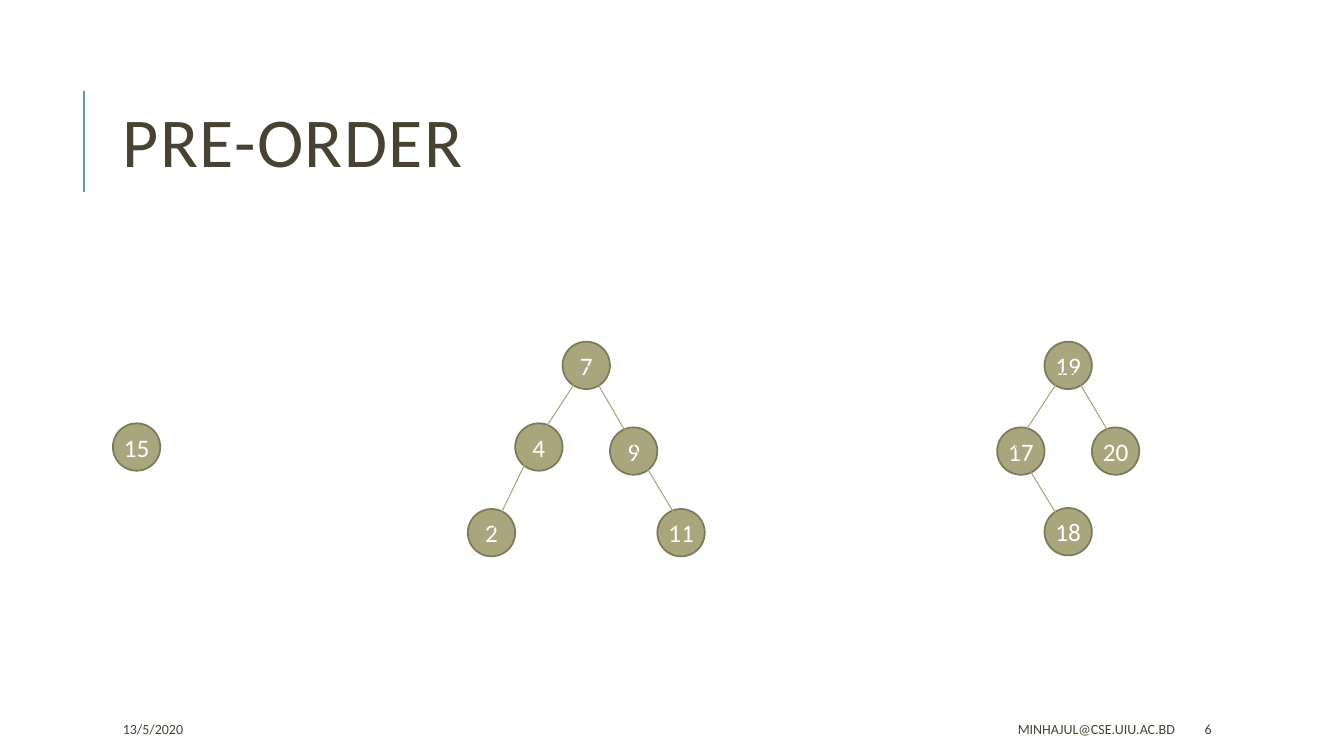
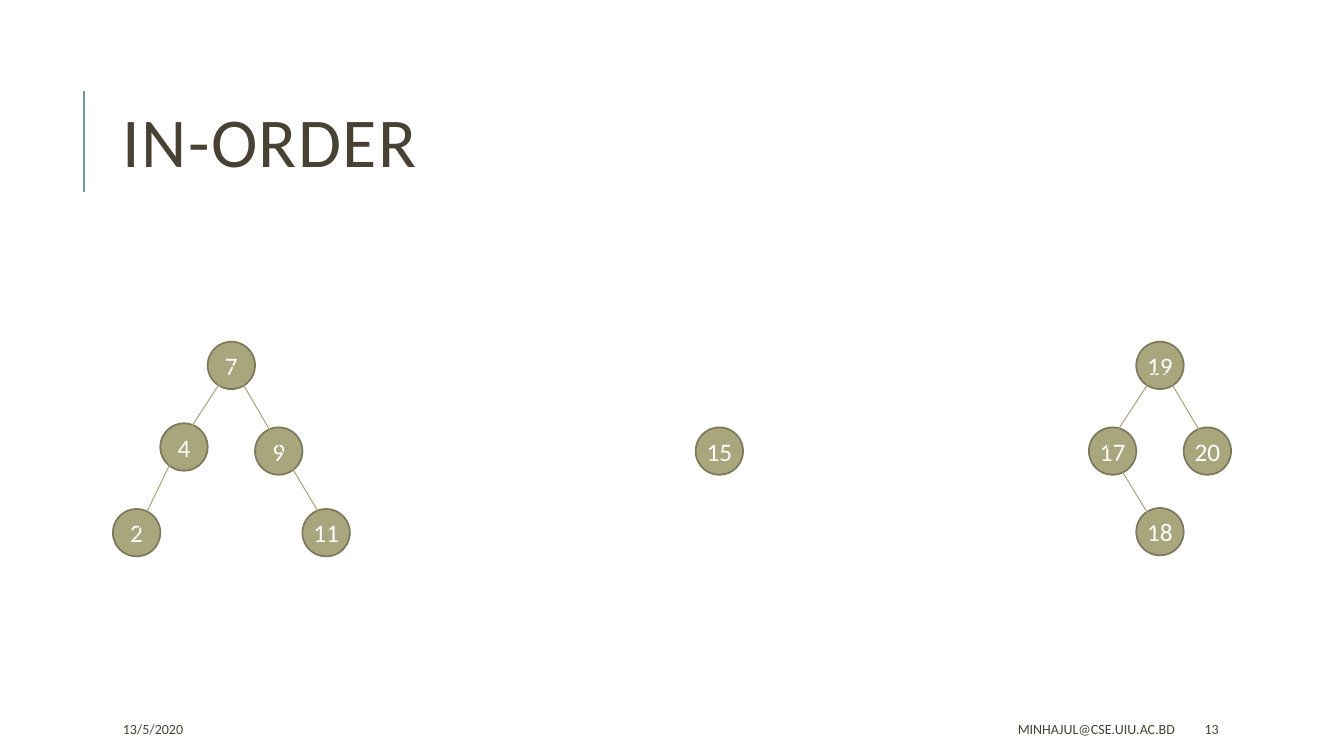
from lxml.etree import SubElement
from pptx import Presentation
from pptx.dml.color import RGBColor
from pptx.enum.shapes import MSO_CONNECTOR, MSO_SHAPE
from pptx.enum.text import MSO_ANCHOR, PP_ALIGN
from pptx.oxml.ns import qn
from pptx.util import Inches, Pt

INK = "474233"
ACCENT = "689C9A"
NODE = "A9A57C"
NODE_BORDER = "7D7A5C"
WHITE = "FFFFFF"
DIAMETER = 0.47
LEVEL_TOPS = {"root": 3.39, "left": 4.2, "middle": 4.24, "leaf": 5.05, "inner leaf": 5.04}
EDGE_HEIGHTS = {"root": 3.62, "left": 4.43, "middle": 4.43, "leaf": 5.3, "inner leaf": 5.3}

SMALL_TREE = {
    "nodes": {
        "7": (2, "root", 0.24),
        "4": (1, "left", 0.18),
        "9": (3, "middle", 0.24),
        "2": (0, "leaf", 0.23),
        "11": (4, "leaf", 0.29),
    },
    "edges": [("7", "4"), ("7", "9"), ("4", "2"), ("9", "11")],
}
LARGE_TREE = {
    "nodes": {
        "19": (1, "root", 0.24),
        "17": (0, "middle", 0.18),
        "20": (2, "middle", 0.25),
        "18": (1, "inner leaf", 0.24),
    },
    "edges": [("19", "17"), ("19", "20"), ("17", "18")],
}
LEFT_ROOT = {"nodes": {"15": (0, "left", 0.24)}, "edges": []}
MIDDLE_ROOT = {"nodes": {"15": (0, "middle", 0.24)}, "edges": []}

SLIDES = [
    ("PRE-ORDER", "6", [(1.12, LEFT_ROOT), (4.64, SMALL_TREE), (9.89, LARGE_TREE)]),
    ("IN-ORDER", "13", [(1.12, SMALL_TREE), (6.9, MIDDLE_ROOT), (10.8, LARGE_TREE)]),
]


def colour(hex_value):
    return RGBColor.from_string(hex_value)


def write_text(shape, text, size, hex_value, alignment):
    frame = shape.text_frame
    frame.word_wrap = True
    frame.vertical_anchor = MSO_ANCHOR.MIDDLE
    paragraph = frame.paragraphs[0]
    paragraph.alignment = alignment
    run = paragraph.add_run()
    run.text = text
    font_format = {"name": "Calibri", "size": Pt(size)}
    for attribute, value in font_format.items():
        setattr(run.font, attribute, value)
    run.font.color.rgb = colour(hex_value)
    return paragraph


presentation = Presentation()
presentation.slide_width = Inches(13.33)
presentation.slide_height = Inches(7.5)

for title, number, trees in SLIDES:
    slide = presentation.slides.add_slide(presentation.slide_layouts[6])

    title_box = slide.shapes.add_textbox(Inches(1.12), Inches(0.64), Inches(10.63), Inches(1.64))
    title_paragraph = write_text(title_box, title, 50, INK, PP_ALIGN.LEFT)
    title_paragraph.line_spacing = 0.8
    title_paragraph.runs[0].font._element.set("spc", "100")

    footers = [
        ("13/5/2020", 1.12, 2.36, PP_ALIGN.LEFT),
        ("MINHAJUL@CSE.UIU.AC.BD", 5.3, 6.45, PP_ALIGN.RIGHT),
        (number, 11.85, 1.06, PP_ALIGN.LEFT),
    ]
    for text, left, width, alignment in footers:
        footer = slide.shapes.add_textbox(Inches(left), Inches(7.08), Inches(width), Inches(0.3))
        write_text(footer, text, 10, INK, alignment)

    lines = [((0.83, 1.9), (0.83, 0.9), ACCENT, 1.5)]
    for tree_left, tree in trees:
        edge_points = {}
        for value, (column, level, edge_offset) in tree["nodes"].items():
            left = tree_left + column * DIAMETER
            edge_points[value] = (left + edge_offset, EDGE_HEIGHTS[level])
            circle = slide.shapes.add_shape(
                MSO_SHAPE.OVAL, Inches(left), Inches(LEVEL_TOPS[level]), Inches(DIAMETER), Inches(DIAMETER)
            )
            circle.shadow.inherit = False
            circle.fill.solid()
            circle.fill.fore_color.rgb = colour(NODE)
            circle.line.color.rgb = colour(NODE_BORDER)
            circle.line.width = Pt(1.25)
            for side in ("left", "top", "right", "bottom"):
                setattr(circle.text_frame, f"margin_{side}", 0)
            write_text(circle, value, 18, WHITE, PP_ALIGN.CENTER)
        for parent, child in tree["edges"]:
            lines.append((edge_points[parent], edge_points[child], NODE, 0.75))

    for start, end, hex_value, width in lines:
        connector = slide.shapes.add_connector(
            MSO_CONNECTOR.STRAIGHT, *[Inches(length) for length in start + end]
        )
        connector.line.color.rgb = colour(hex_value)
        connector.line.width = Pt(width)
        SubElement(connector._element.spPr, qn("a:effectLst"))

presentation.save("out.pptx")
